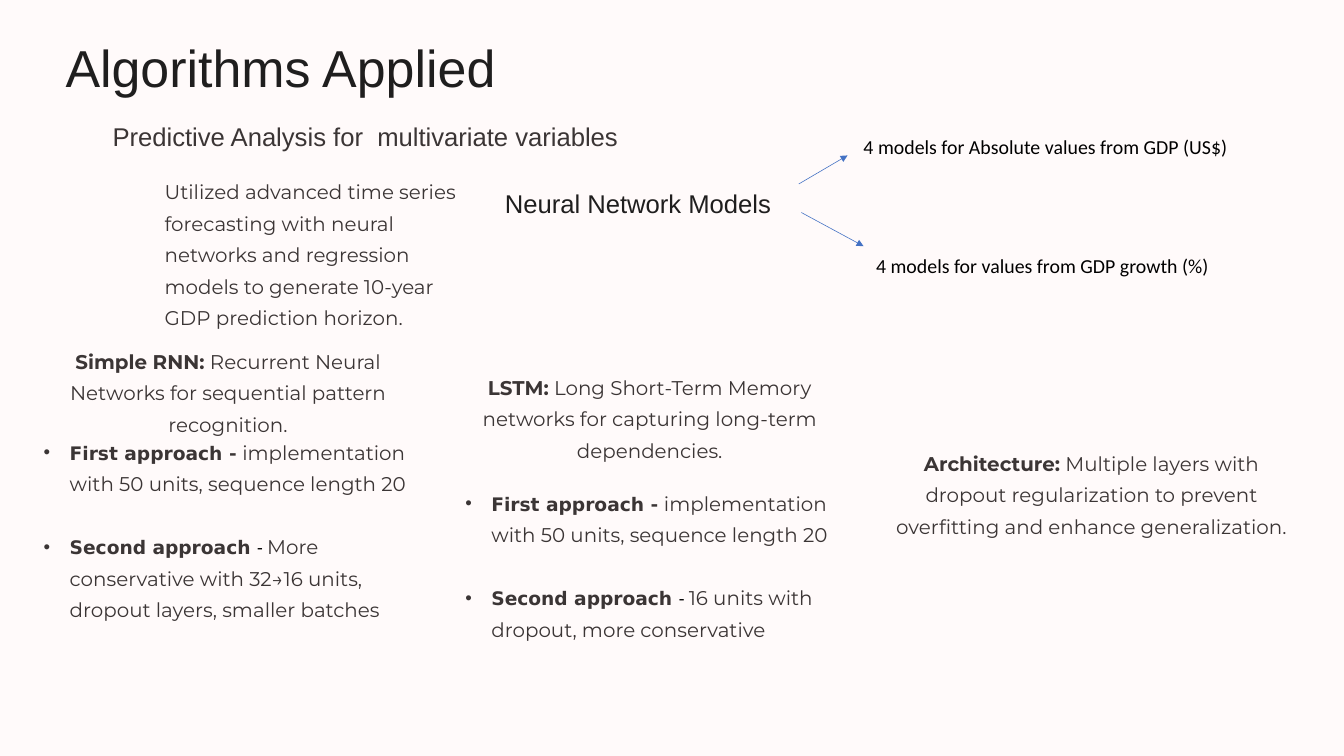
from pptx import Presentation
from pptx import util as u
from pptx.dml import color
from pptx.enum import shapes, text
from pptx.oxml import ns
from lxml import etree

COLS, ROWS = 16, 9
CELL = u.Inches(1)  # side of one grid cell
INK, BODY, BLACK, ARROW, PAPER = "1F1E1E", "3B3535", "000000", "4472C4", "FFFAFA"
INDENT = 0.31
LINE = 27  # body line pitch in points

# Run styles: font, size, colour, bold
TITLE = ("Arial", 44.5, INK, False)
HEADING = ("Arial", 22, INK, False)
SUBTITLE = ("Arial", 22, BODY, False)
PLAIN = ("Montserrat", 17, BODY, False)
STRONG = ("Montserrat", 17, BODY, True)
BRANCH = ("Calibri", 17, BLACK, False)
APPROACH = ("DejaVu Sans", 16, BODY, True)
DASH = ("Calibri", 16, BLACK, False)


def grid(cells):
    return u.Emu(round(cells * CELL))


def rgb(value):
    return color.RGBColor.from_string(value)


def add_runs(paragraph, runs, pitch):
    paragraph.line_spacing = u.Pt(pitch)
    for words, (font, size, ink, bold) in runs:
        run = paragraph.add_run()
        run.text = words
        run.font.name, run.font.size, run.font.bold = font, u.Pt(size), bold
        run.font.color.rgb = rgb(ink)


def add_frame(slide, place, wrap=True):
    frame = slide.shapes.add_textbox(*map(grid, place)).text_frame
    frame.margin_left = frame.margin_top = 0
    frame.margin_right = frame.margin_bottom = 0
    frame.word_wrap = wrap
    return frame


def add_label(slide, place, words, style, pitch=LINE, wrap=True):
    add_runs(add_frame(slide, place, wrap).paragraphs[0], [(words, style)], pitch)


def add_summary(slide, place, term, meaning):
    paragraph = add_frame(slide, place).paragraphs[0]
    paragraph.alignment = text.PP_ALIGN.CENTER
    add_runs(paragraph, [(term, STRONG), (meaning, PLAIN)], LINE)


def add_approaches(slide, place, second):
    frame = add_frame(slide, place)
    items = [
        [("First approach ", APPROACH), ("- ", STRONG),
         ("implementation with 50 units, sequence length 20", PLAIN)],
        [("Second approach ", APPROACH), ("- ", DASH), (second, PLAIN)],
    ]
    for index, runs in enumerate(items):
        paragraph = frame.add_paragraph() if index else frame.paragraphs[0]
        props = paragraph._p.get_or_add_pPr()
        props.set("marL", str(grid(INDENT)))
        props.set("indent", str(-grid(INDENT)))
        etree.SubElement(props, ns.qn("a:buFont")).set("typeface", "Arial")
        etree.SubElement(props, ns.qn("a:buChar")).set("char", "•")
        if index:
            paragraph.space_before = u.Pt(LINE)
        add_runs(paragraph, runs, LINE)


def add_arrow(slide, start, end):
    arrow = slide.shapes.add_connector(
        shapes.MSO_CONNECTOR.STRAIGHT, *map(grid, start + end))
    arrow.line.color.rgb = rgb(ARROW)
    arrow.line.width = u.Pt(0.5)
    etree.SubElement(arrow.line._get_or_add_ln(), ns.qn("a:tailEnd")).set("type", "triangle")
    etree.SubElement(arrow._element.spPr, ns.qn("a:effectLst"))


def main():
    deck = Presentation()
    deck.slide_width, deck.slide_height = grid(COLS), grid(ROWS)
    slide = deck.slides.add_slide(deck.slide_layouts[6])
    slide.background.fill.solid()
    slide.background.fill.fore_color.rgb = rgb(PAPER)

    # Headings and introduction
    add_label(slide, (0.78, 0.39, 12.05, 0.78), "Algorithms Applied", TITLE, 56, False)
    add_label(slide, (1.34, 1.42, 6.4, 0.39),
              "Predictive Analysis for  multivariate variables", SUBTITLE, 28, False)
    add_label(slide, (1.96, 2.05, 3.58, 2.27),
              "Utilized advanced time series forecasting with neural networks and "
              "regression models to generate 10-year GDP prediction horizon.", PLAIN)

    # Neural network branches
    add_label(slide, (6.01, 2.21, 3.72, 0.39), "Neural Network Models", HEADING, 28, False)
    add_arrow(slide, (9.51, 2.19), (10.09, 1.85))
    add_arrow(slide, (9.54, 2.53), (10.28, 2.93))
    add_label(slide, (10.28, 1.51, 4.74, 0.5),
              "4 models for Absolute values from GDP (US$)", BRANCH)
    add_label(slide, (10.43, 2.93, 4.58, 0.5),
              "4 models for values from GDP growth (%)", BRANCH)

    # Model summaries
    add_summary(slide, (0.52, 4.07, 4.39, 1.14), "Simple RNN:",
                " Recurrent Neural Networks for sequential pattern recognition.")
    add_summary(slide, (5.54, 4.38, 4.39, 1.14), "LSTM:",
                " Long Short-Term Memory networks for capturing long-term dependencies.")
    add_summary(slide, (10.51, 5.28, 4.97, 1.52), "Architecture:",
                " Multiple layers with dropout regularization to prevent overfitting "
                "and enhance generalization.")

    # Approaches under each model
    add_approaches(slide, (0.52, 5.15, 4.39, 2.55),
                   "More conservative with 32→16 units, dropout layers, smaller batches")
    add_approaches(slide, (5.54, 5.76, 4.58, 2.25),
                   "16 units with dropout, more conservative")

    deck.save("out.pptx")


if __name__ == "__main__":
    main()
